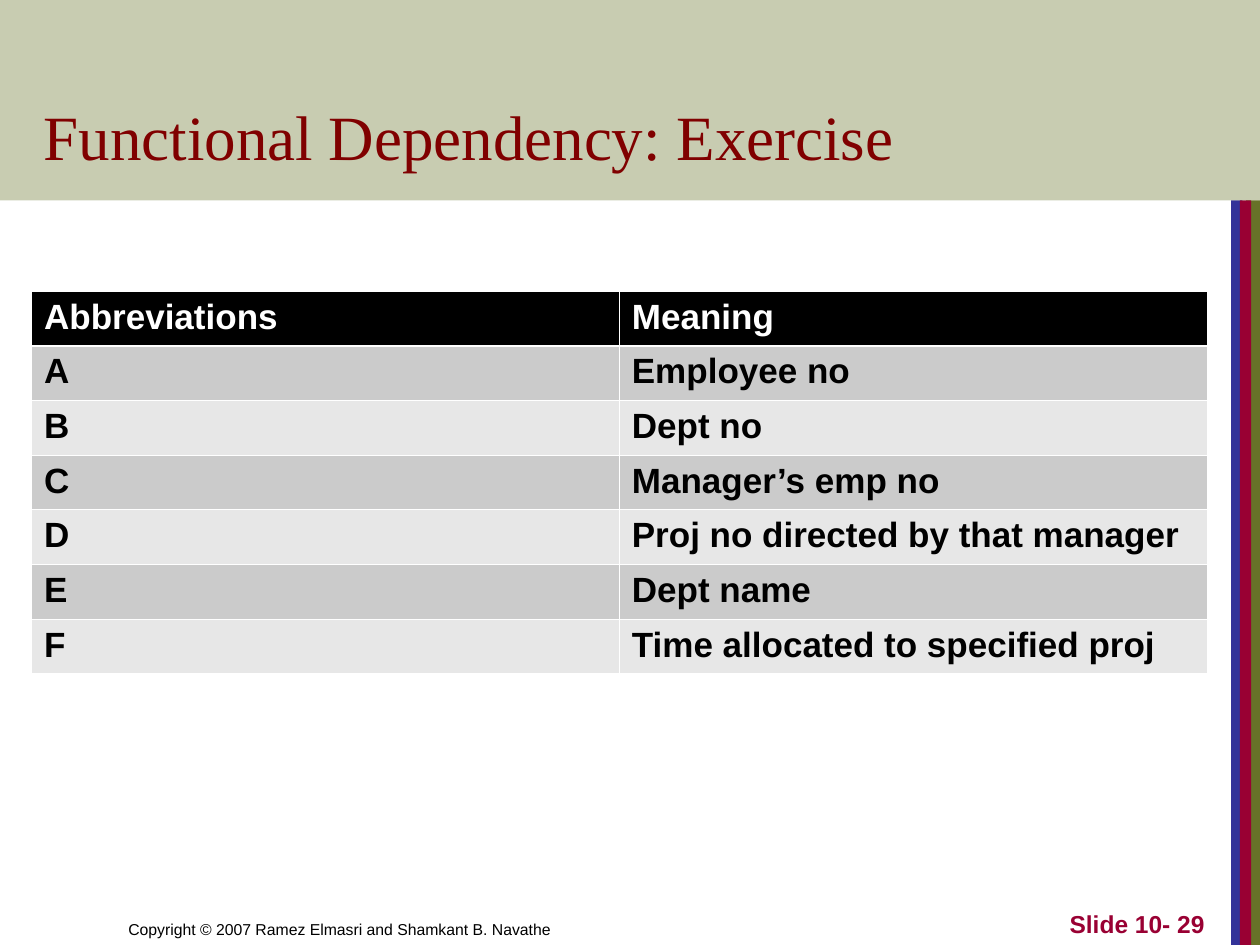
from dataclasses import dataclass

from lxml.etree import SubElement
from pptx import Presentation
from pptx.dml.color import RGBColor
from pptx.enum.shapes import MSO_SHAPE
from pptx.enum.text import MSO_ANCHOR, PP_ALIGN
from pptx.oxml import parse_xml
from pptx.oxml.ns import nsdecls, qn
from pptx.slide import Slide
from pptx.table import _Cell
from pptx.util import Inches, Pt

BLACK = RGBColor(0x00, 0x00, 0x00)
WHITE = RGBColor(0xFF, 0xFF, 0xFF)
OLIVE = RGBColor(0x67, 0x72, 0x28)
BLUE = RGBColor(0x33, 0x33, 0x99)
WINE = RGBColor(0x99, 0x00, 0x33)
MAROON = RGBColor(0x80, 0x00, 0x00)
DARK = RGBColor(0xCB, 0xCB, 0xCB)
LIGHT = RGBColor(0xE7, 0xE7, 0xE7)

THIN, THICK = 0.45, 1.47


@dataclass
class Block:
    left: float
    top: float
    width: float
    height: float
    color: RGBColor
    alpha: int = 100


@dataclass
class Label:
    text: str
    left: float
    top: float
    width: float
    height: float
    size: int
    color: RGBColor
    font: str = "Arial"
    bold: bool = False
    align: PP_ALIGN = PP_ALIGN.LEFT


BLOCKS = [
    Block(9.89, 1.59, 0.11, 5.91, OLIVE),
    Block(9.77, 1.59, 0.09, 5.91, BLUE),
    Block(9.84, 1.59, 0.09, 5.91, WINE),
    Block(0, 0, 10, 1.59, OLIVE, 36),
]

LABELS = [
    Label("Copyright © 2007 Ramez Elmasri and Shamkant B. Navathe",
          0.92, 7, 4.92, 0.5, 9, BLACK),
    Label("Functional Dependency: Exercise",
          0.25, 0.33, 8.53, 1.09, 36, MAROON, "Times New Roman"),
    Label("Slide 10- 29", 7.58, 7, 2.08, 0.5, 14, WINE,
          bold=True, align=PP_ALIGN.RIGHT),
]

ROWS = [
    ("Abbreviations", "Meaning"),
    ("A", "Employee no"),
    ("B", "Dept no"),
    ("C", "Manager’s emp no"),
    ("D", "Proj no directed by that manager"),
    ("E", "Dept name"),
    ("F", "Time allocated to specified proj"),
]


def add_block(slide: Slide, block: Block) -> None:
    shape = slide.shapes.add_shape(
        MSO_SHAPE.RECTANGLE, Inches(block.left), Inches(block.top),
        Inches(block.width), Inches(block.height))
    shape.shadow.inherit = False
    shape.line.fill.background()
    shape.fill.solid()
    shape.fill.fore_color.rgb = block.color
    if block.alpha < 100:
        color = shape.fill._xPr.find(qn("a:solidFill"))[0]
        SubElement(color, qn("a:alpha"), val=str(block.alpha * 1000))


def add_label(slide: Slide, label: Label) -> None:
    box = slide.shapes.add_textbox(
        Inches(label.left), Inches(label.top),
        Inches(label.width), Inches(label.height))
    frame = box.text_frame
    frame.word_wrap = True
    frame.vertical_anchor = MSO_ANCHOR.BOTTOM
    frame.text = label.text
    line = frame.paragraphs[0]
    line.alignment = label.align
    font = line.runs[0].font
    font.name, font.size, font.bold = label.font, Pt(label.size), label.bold
    font.color.rgb = label.color


def set_edges(cell: _Cell, top: float, bottom: float) -> None:
    props = cell._tc.get_or_add_tcPr()
    edges = {"lnL": THIN, "lnR": THIN, "lnT": top, "lnB": bottom}
    for spot, (tag, width) in enumerate(edges.items()):
        props.insert(spot, parse_xml(
            f'<a:{tag} {nsdecls("a")} w="{Pt(width)}"><a:solidFill>'
            f'<a:srgbClr val="{WHITE}"/></a:solidFill></a:{tag}>'))


def fill_cell(cell: _Cell, text: str, row: int) -> None:
    cell.text_frame.text = text
    font = cell.text_frame.paragraphs[0].runs[0].font
    font.name, font.size, font.bold = "Arial", Pt(20), True
    font.color.rgb = BLACK if row else WHITE
    cell.fill.solid()
    cell.fill.fore_color.rgb = (DARK if row % 2 else LIGHT) if row else BLACK
    set_edges(cell, THICK if row == 1 else THIN, THIN if row else THICK)


def add_grid(slide: Slide) -> None:
    high = 0.434
    grid = slide.shapes.add_table(
        len(ROWS), 2, Inches(0.25), Inches(2.31),
        Inches(9.33), Inches(high * len(ROWS))).table
    for row, texts in enumerate(ROWS):
        for col, text in enumerate(texts):
            fill_cell(grid.cell(row, col), text, row)


def main() -> None:
    """Build the functional dependency exercise slide."""
    deck = Presentation()
    deck.slide_width, deck.slide_height = Inches(10), Inches(7.5)
    slide = deck.slides.add_slide(deck.slide_layouts[6])
    for block in BLOCKS:
        add_block(slide, block)
    for label in LABELS:
        add_label(slide, label)
    add_grid(slide)
    deck.save("out.pptx")


if __name__ == "__main__":
    main()
